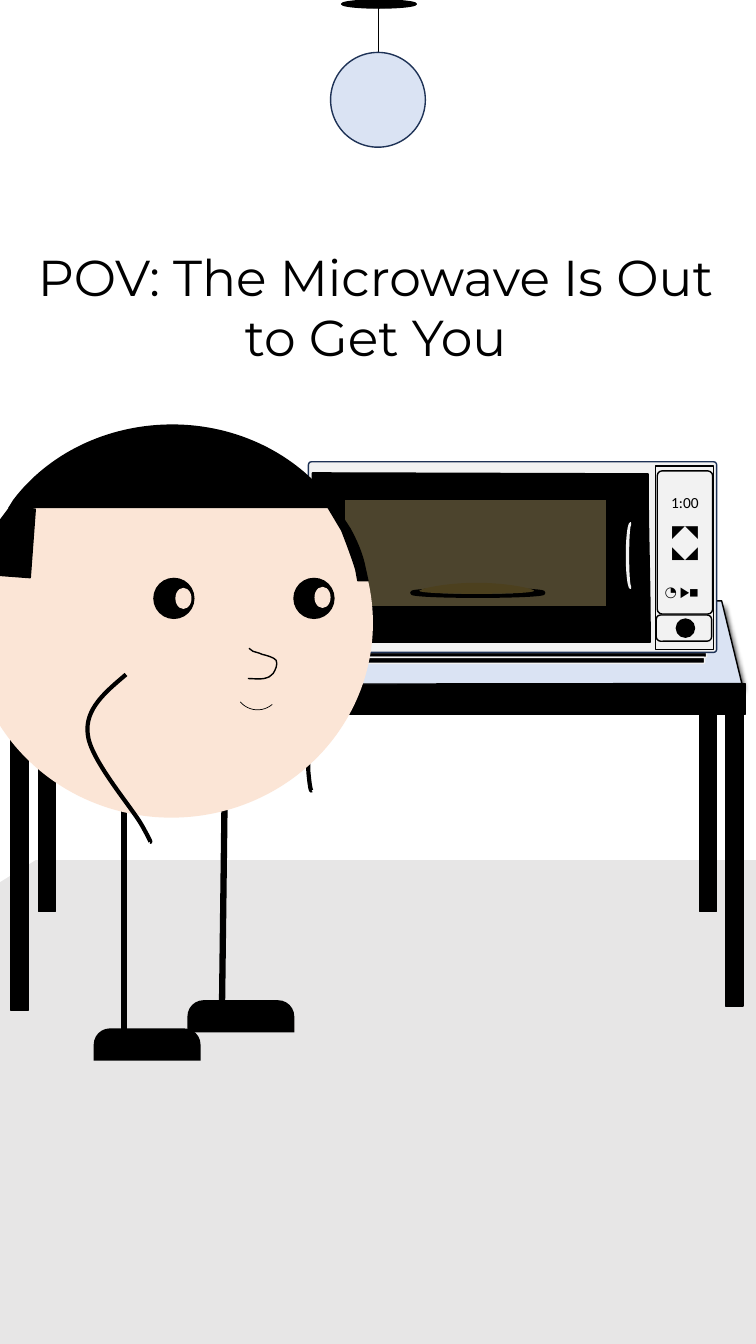
from lxml import etree
from pptx import Presentation
from pptx.dml.color import RGBColor
from pptx.enum.shapes import MSO_CONNECTOR, MSO_SHAPE as SHAPE
from pptx.enum.text import MSO_AUTO_SIZE, PP_ALIGN
from pptx.oxml.ns import qn
from pptx.util import Inches, Pt

BLACK = RGBColor(0x00, 0x00, 0x00)
WHITE = RGBColor(0xFF, 0xFF, 0xFF)
FLOOR = RGBColor(0xE7, 0xE6, 0xE6)
PALE_BLUE = RGBColor(0xDA, 0xE3, 0xF3)
NAVY = RGBColor(0x1E, 0x32, 0x56)
STEEL = RGBColor(0xF2, 0xF2, 0xF2)
SKIN = RGBColor(0xFB, 0xE5, 0xD6)
GLOW = RGBColor(0xFF, 0xE6, 0x99)
FOOD = RGBColor(0xFF, 0xD9, 0x66)
STRAIGHT = MSO_CONNECTOR.STRAIGHT

prs = Presentation()
prs.slide_width, prs.slide_height = Inches(7.5), Inches(13.33)
slide = prs.slides.add_slide(prs.slide_layouts[6])
slide.background.fill.solid()
slide.background.fill.fore_color.rgb = FLOOR


def draw(kind, geometry, fill=None, line=None, width=1, adjust=(), rotation=0):
    """Draw a preset, a straight line, or (kind None) an outline.

    An outline is a list of points; six numbers make a Bezier curve.
    """
    if kind is None:
        ends = [(Inches(step[-2]), Inches(step[-1])) for step in geometry]
        builder = slide.shapes.build_freeform(*ends[0])
        builder.add_line_segments(ends[1:], close=fill is not None)
        item = builder.convert_to_shape()
        # Bend the six-number segments by adding their two control points
        segments = list(item.element.iter(qn("a:lnTo")))
        for segment, step in zip(segments, geometry[1:]):
            if len(step) == 6:
                segment.tag = qn("a:cubicBezTo")
                for i in (0, 1):
                    control = etree.Element(qn("a:pt"),
                                            x=str(Inches(step[2 * i]) - item.left),
                                            y=str(Inches(step[2 * i + 1]) - item.top))
                    segment.insert(i, control)
    elif kind is STRAIGHT:
        item = slide.shapes.add_connector(kind, *map(Inches, geometry))
    else:
        item = slide.shapes.add_shape(kind, *map(Inches, geometry))
        for i, value in enumerate(adjust):
            item.adjustments[i] = value
    if line is None:
        item.line.fill.background()
    else:
        item.line.color.rgb = line
        item.line.width = Pt(width)
    if kind is STRAIGHT:
        etree.SubElement(item.element.spPr, qn("a:effectLst"))
        return item
    item.shadow.inherit = False
    item.rotation = rotation
    if fill is None:
        item.fill.background()
    else:
        item.fill.solid()
        item.fill.fore_color.rgb = fill
    return item


def write(text, box, size, font="Calibri", align=PP_ALIGN.LEFT):
    frame = slide.shapes.add_textbox(*map(Inches, box)).text_frame
    frame.word_wrap = True
    frame.auto_size = MSO_AUTO_SIZE.SHAPE_TO_FIT_TEXT
    paragraph = frame.paragraphs[0]
    paragraph.text = text
    paragraph.alignment = align
    paragraph.font.size = Pt(size)
    paragraph.font.name = font
    paragraph.font.color.rgb = BLACK


# Side wall and back wall
draw(None, [(-4.48, -0.24), (0.36, -0.28), (0.45, 8.47), (-4.48, 11.52)], WHITE)
draw(SHAPE.RECTANGLE, (0.02, -0.12, 7.5, 8.65), WHITE)

# Hanging lamp
draw(SHAPE.OVAL, (3.39, 0, 0.74, 0.08), BLACK, BLACK)
draw(STRAIGHT, (3.75, 0.04, 3.75, 0.91), line=BLACK, width=0.5)
draw(SHAPE.OVAL, (3.28, 0.52, 0.94, 0.94), PALE_BLUE, NAVY)

# Table: legs, apron and top with its shadow
for leg_x, leg_y in ((0.38, 6.09), (6.94, 6.09), (0.11, 7.07), (7.2, 7.03)):
    draw(SHAPE.RECTANGLE, (leg_x, leg_y, 0.17, 2.95), BLACK, BLACK)
draw(SHAPE.RECTANGLE, (0.11, 6.78, 7.28, 0.31), BLACK, BLACK)
table_top = draw(None, [(0.25, 5.96), (7.16, 5.96), (7.36, 6.78), (0.12, 6.79)],
                 PALE_BLUE, BLACK)
shadow = etree.SubElement(table_top.element.spPr.find(qn("a:effectLst")), qn("a:outerShdw"),
                          blurRad=str(Pt(4)), dist=str(Pt(4)), dir="5400000")
etree.SubElement(shadow, qn("a:srgbClr"), val=str(BLACK))

# Microwave body
draw(SHAPE.ROUNDED_RECTANGLE, (3.13, 6.47, 3.88, 0.05), BLACK, STEEL)
draw(SHAPE.ROUNDED_RECTANGLE, (3.21, 6.52, 3.78, 0.06), BLACK, STEEL)
draw(SHAPE.ROUNDED_RECTANGLE, (3.06, 4.58, 4.05, 1.89), STEEL, NAVY, adjust=[0.016])

# Control panel
draw(SHAPE.RECTANGLE, (6.5, 4.62, 0.58, 1.82), line=BLACK)
draw(SHAPE.ROUNDED_RECTANGLE, (6.52, 4.67, 0.55, 1.42), line=BLACK, adjust=[0.089])
draw(SHAPE.ROUNDED_RECTANGLE, (6.51, 6.1, 0.55, 0.26), line=BLACK)
draw(SHAPE.OVAL, (6.71, 6.14, 0.18, 0.18), BLACK, BLACK)

# Door, window, turntable and food
draw(None, [(6.43, 4.7), (3.1, 4.69), (3.09, 5.24, 3.1, 5.83, 3.09, 6.37), (6.45, 6.37),
            (6.45, 5.7, 6.43, 5.36, 6.43, 4.7)], BLACK, BLACK)
draw(SHAPE.RECTANGLE, (3.42, 4.95, 2.61, 1.07), GLOW, BLACK)
draw(SHAPE.OVAL, (4.09, 5.85, 1.3, 0.06), WHITE, BLACK, 3)
draw(None, [(4.16, 5.86), (4.16, 5.84, 4.42, 5.78, 4.73, 5.78),
            (5.04, 5.78, 5.3, 5.84, 5.3, 5.86), (5.3, 5.88, 5.04, 5.89, 4.73, 5.89),
            (4.42, 5.89, 4.16, 5.88, 4.16, 5.86)], FOOD)

# Display and buttons
write("1:00", (6.56, 4.84, 0.5, 0.29), 11)
write("◤◥◣◢", (6.57, 5.12, 0.5, 0.5), 12)
write("◔ ▶◼", (6.5, 5.73, 0.7, 0.29), 10.5)

# Tinted glass
glass = draw(SHAPE.RECTANGLE, (3.41, 4.95, 2.61, 1.07), BLACK, BLACK)
tint = glass.element.spPr.find(qn("a:solidFill")).find(qn("a:srgbClr"))
etree.SubElement(tint, qn("a:alpha"), val="70000")

# Far arm, legs and head
draw(None, [(2.99, 6.61), (3.11, 6.83, 3.05, 7.46, 3.06, 7.66),
            (3.08, 7.87, 3.09, 7.84, 3.09, 7.84)], line=BLACK, width=3)
for leg in ((1.23, 7.77, 1.23, 10.38), (2.23, 7.77, 2.2, 10.17)):
    draw(STRAIGHT, leg, line=BLACK, width=4.5)
draw(SHAPE.OVAL, (-0.3, 4.25, 4, 3.86), SKIN)

# Shoes
for shoe_x, shoe_y in ((1.86, 9.92), (0.93, 10.2)):
    draw(SHAPE.ROUND_2_SAME_RECTANGLE, (shoe_x, shoe_y, 1.06, 0.32), BLACK, adjust=[0.5, 0])

# Near arm and nose
draw(None, [(1.25, 6.69), (1.05, 6.86, 0.84, 7.03, 0.87, 7.28),
            (0.89, 7.53, 1.31, 8.01, 1.41, 8.19), (1.51, 8.37, 1.49, 8.35, 1.49, 8.35)],
     line=BLACK, width=3)
draw(None, [(2.47, 6.43), (2.49, 6.44, 2.49, 6.45, 2.51, 6.46),
            (2.53, 6.47, 2.56, 6.47, 2.6, 6.49), (2.64, 6.5, 2.72, 6.52, 2.74, 6.55),
            (2.76, 6.59, 2.73, 6.65, 2.71, 6.68), (2.69, 6.71, 2.66, 6.72, 2.62, 6.73),
            (2.57, 6.74, 2.51, 6.73, 2.46, 6.73)], line=BLACK)

# Eyes
for eye_x, glint_x, glint_y in ((1.52, 1.74, 5.83), (2.91, 3.12, 5.82)):
    draw(SHAPE.OVAL, (eye_x, 5.73, 0.41, 0.41), BLACK)
    draw(SHAPE.OVAL, (glint_x, glint_y, 0.16, 0.21), SKIN)

# Hair: two sideburns and the crown
draw(None, [(0.35, 5.05), (0.1, 5.03), (-0.05, 5.23), (-0.11, 5.33, -0.16, 5.43, -0.19, 5.53),
            (-0.23, 5.69), (0.3, 5.73)], BLACK, BLACK)
draw(None, [(3.32, 5.01), (3.24, 5.01), (3.39, 5.26), (3.44, 5.39, 3.49, 5.52, 3.53, 5.65),
            (3.55, 5.76), (3.65, 5.76), (3.61, 5.58), (3.58, 5.46, 3.53, 5.35, 3.47, 5.24)],
     BLACK, BLACK)
draw(None, [(1.71, 4.21), (1.05, 4.21, 0.47, 4.51, 0.13, 4.96), (0.08, 5.04), (3.33, 5.04),
            (3.28, 4.96), (2.94, 4.51, 2.36, 4.21, 1.71, 4.21)], BLACK)

# Door handle and smile
draw(SHAPE.BLOCK_ARC, (5.93, 5.47, 0.65, 0.08), STEEL, STEEL, rotation=270)
draw(SHAPE.ARC, (2.33, 6.59, 0.45, 0.45), line=BLACK, width=0.5, rotation=139.5)

# Title
write("POV: The Microwave Is Out to Get You", (0.14, 2.39, 7.17, 1.31), 36,
      font="Montserrat", align=PP_ALIGN.CENTER)

prs.save("out.pptx")
